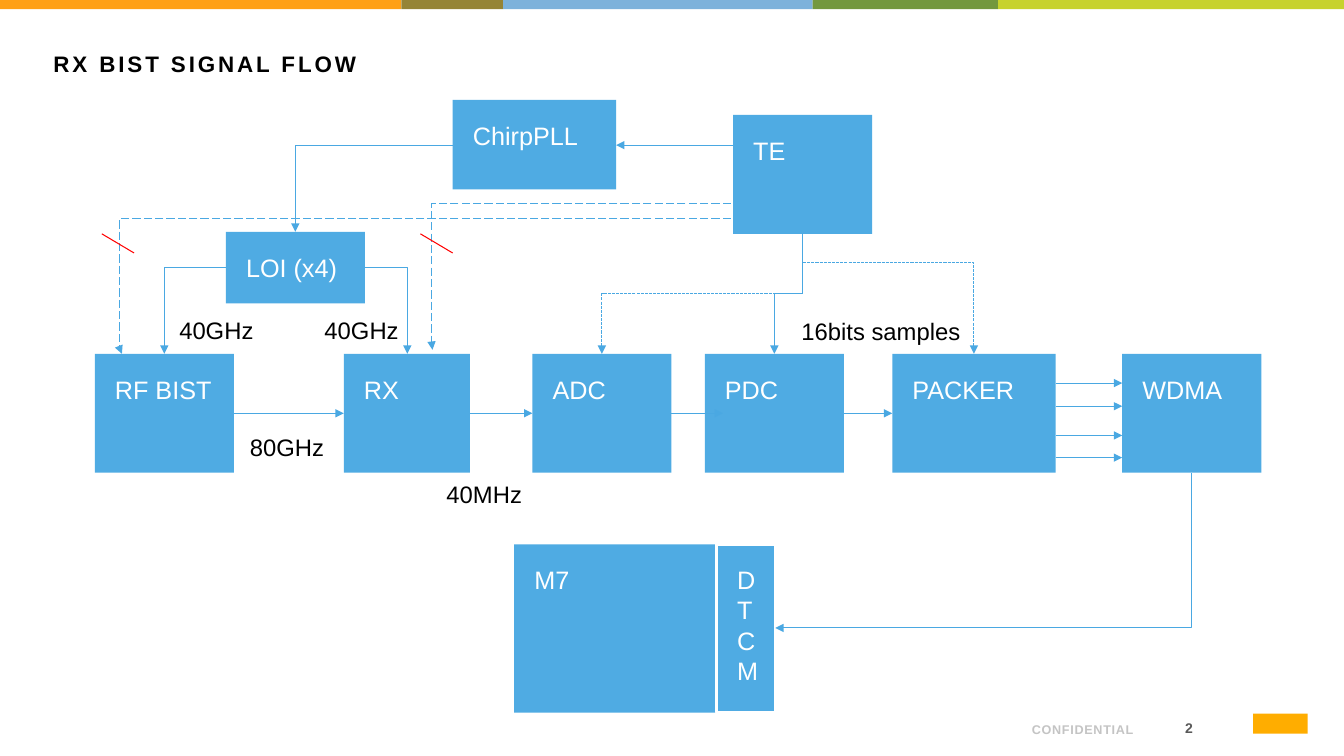
from lxml.etree import SubElement
from pptx import Presentation
from pptx.dml.color import RGBColor
from pptx.enum.dml import MSO_LINE as Dash
from pptx.enum.shapes import MSO_CONNECTOR as Connector, MSO_SHAPE as Shape
from pptx.enum.text import MSO_ANCHOR as Anchor, PP_ALIGN as Align
from pptx.oxml.ns import qn
from pptx.util import Inches, Pt

BLUE, LINE_BLUE, RED = "4FABE3", "4AA8E2", "FF0000"
BLACK, WHITE = "000000", "FFFFFF"
CELL = Inches(0.1)

deck = Presentation()
deck.slide_width, deck.slide_height = Inches(13.33), Inches(7.5)
slide = deck.slides.add_slide(deck.slide_layouts[5])
shapes = slide.shapes


def grid(*cells):
    return [round(cell * CELL) for cell in cells]


def write(frame, text, size, color, bold=False, spacing=0, align=Align.LEFT):
    paragraph = frame.paragraphs[0]
    paragraph.text = text
    paragraph.alignment = align
    font = paragraph.font
    font.name, font.size, font.bold = "Arial", Pt(size), bold
    font.color.rgb = RGBColor.from_string(color)
    if spacing:
        paragraph.runs[0]._r.get_or_add_rPr().set("spc", str(round(spacing * 100)))
    return paragraph


band_left = 0
for band_right, color in [(39.8, "FFA015"), (49.9, "958436"), (80.6, "7DB2DB"),
                          (99, "73983E"), (133.3, "C7D22D")]:
    band = shapes.add_shape(Shape.RECTANGLE, *grid(band_left, 0, band_right - band_left, 0.9))
    band.shadow.inherit = False
    band.fill.solid()
    band.fill.fore_color.rgb = RGBColor.from_string(color)
    band.line.fill.background()
    band_left = band_right

emblem = shapes.add_shape(Shape.RECTANGLE, *grid(124.3, 70.8, 5.4, 2))
emblem.shadow.inherit = False
emblem.fill.solid()
emblem.fill.fore_color.rgb = RGBColor.from_string("FFAD00")
emblem.line.fill.background()

title = shapes.title
title.left, title.top, title.width, title.height = grid(4.3, 4.5, 125, 7.2)
title.text_frame.vertical_anchor = Anchor.TOP
write(title.text_frame, "RX BIST SIGNAL FLOW", 16, BLACK, True, 2.1)

for text, place, size, color, spacing, anchor in [
    ("2", (112.8, 70.7, 6.5, 3), 10, "595959", 3, Anchor.MIDDLE),
    ("CONFIDENTIAL", (85.1, 70.2, 28.3, 3.4), 9, "C4C4C4", 0.5, Anchor.BOTTOM),
]:
    footer = shapes.add_textbox(*grid(*place)).text_frame
    footer.word_wrap = True
    footer.vertical_anchor = anchor
    write(footer, text, size, color, True, spacing, Align.RIGHT)

STAGE_TOP, STAGE_HEIGHT, STAGE_WIDTH = 35.1, 11.8, 13.8
stages = [("RF BIST", 9.4, STAGE_WIDTH), ("RX", 34.1, 12.5), ("ADC", 52.8, STAGE_WIDTH),
          ("PDC", 69.9, STAGE_WIDTH), ("PACKER", 88.5, 16.2), ("WDMA", 111.3, STAGE_WIDTH)]
blocks = [(name, left, STAGE_TOP, width, STAGE_HEIGHT) for name, left, width in stages] + [
    ("M7", 51, 54, 20.1, 16.7),
    ("DTCM", 71.1, 54, 5.8, 16.7),
    ("TE", 72.7, 11.4, STAGE_WIDTH, STAGE_HEIGHT),
    ("ChirpPLL", 44.9, 9.9, 16.2, 8.9),
    ("LOI (x4)", 22.4, 23, STAGE_WIDTH, 7.1),
]
for name, *place in blocks:
    block = shapes.add_shape(Shape.RECTANGLE, *grid(*place))
    block.shadow.inherit = False
    block.fill.solid()
    block.fill.fore_color.rgb = RGBColor.from_string(BLUE)
    if name == "DTCM":
        block.line.color.rgb = RGBColor.from_string(WHITE)
        block.line.width = Pt(2)
    else:
        block.line.fill.background()
    frame = block.text_frame
    frame.word_wrap = True
    frame.vertical_anchor = Anchor.TOP
    frame.margin_left = frame.margin_right = frame.margin_top = frame.margin_bottom = Inches(0.2)
    write(frame, name, 18, WHITE)

FLOW = STAGE_TOP + STAGE_HEIGHT / 2
straight_arrows = [(23.2, FLOW, 34.1, FLOW), (46.6, FLOW, 52.8, FLOW), (66.6, FLOW, 71.7, FLOW),
                   (83.7, FLOW, 88.5, FLOW), (72.7, 14.4, 61.1, 14.4)]
straight_arrows += [(104.7, lane, 111.3, lane) for lane in (38, 40.3, 43.2, 45.4)]
corner_arrows = [((44.9, 14.4, 29.3, 23), "tailEnd"), ((22.4, 26.5, 16.3, STAGE_TOP), "tailEnd"),
                 ((36.2, 26.5, 40.4, STAGE_TOP), "tailEnd"), ((76.9, 62.3, 118.2, 46.9), "headEnd")]
control_arrows = [((72.5, 20.2, 42.9, 34.7), 1.003), ((72.5, 21.7, 12.1, STAGE_TOP), 1.004)]
trigger_arrows = [(59.7, Dash.SQUARE_DOT, 0.5), (76.8, None, 0.5), (96.6, Dash.SQUARE_DOT, 0.236)]

links = [(ends, "line", LINE_BLUE, None, "tailEnd", None, 0) for ends in straight_arrows]
links += [(ends, "bentConnector2", LINE_BLUE, None, head, None, 0) for ends, head in corner_arrows]
links += [(ends, "bentConnector3", LINE_BLUE, Dash.LONG_DASH, "tailEnd", bend, 0)
          for ends, bend in control_arrows]
links += [((x, 25.1, x - 3.2, 23.2), "line", RED, None, None, None, 0) for x in (44.9, 13.3)]
TE_CENTER, TE_BOTTOM = 79.6, 23.2
for target, dash, bend in trigger_arrows:
    middle_x, middle_y = (TE_CENTER + target) / 2, (TE_BOTTOM + STAGE_TOP) / 2
    half_run, half_drop = (target - TE_CENTER) / 2, (STAGE_TOP - TE_BOTTOM) / 2
    turned_ends = (middle_x - half_drop, middle_y + half_run,
                   middle_x + half_drop, middle_y - half_run)
    links.append((turned_ends, "bentConnector3", LINE_BLUE, dash, "tailEnd", bend, 90))

for ends, geometry, color, dash, head, bend, turn in links:
    kind = Connector.STRAIGHT if geometry == "line" else Connector.ELBOW
    link = shapes.add_connector(kind, *grid(*ends))
    link.line.color.rgb = RGBColor.from_string(color)
    link.line.width = Pt(0.75)
    if dash:
        link.line.dash_style = dash
    if head:
        SubElement(link.line._get_or_add_ln(), qn("a:" + head), type="triangle")
    properties = link._element.spPr
    SubElement(properties, qn("a:effectLst"))
    preset = properties.find(qn("a:prstGeom"))
    preset.set("prst", geometry)
    if bend:
        SubElement(preset.find(qn("a:avLst")), qn("a:gd"), name="adj1",
                   fmla=f"val {round(bend * 100000)}")
    if turn:
        properties.find(qn("a:xfrm")).set("rot", str(turn * 60000))

for text, wrap, *place in [
    ("80GHz", False, 23.8, 42.4, 10, 10),
    ("40GHz", False, 16.8, 30.8, 10, 10),
    ("40GHz", False, 31.2, 30.8, 10, 10),
    ("40MHz", False, 43.3, 47.1, 10, 10),
    ("16bits samples", True, 78.5, 30.9, 34.9, 7.1),
]:
    label = shapes.add_textbox(*grid(*place)).text_frame
    label.word_wrap = wrap
    write(label, text, 17, BLACK).space_before = Pt(6)

deck.save("out.pptx")
